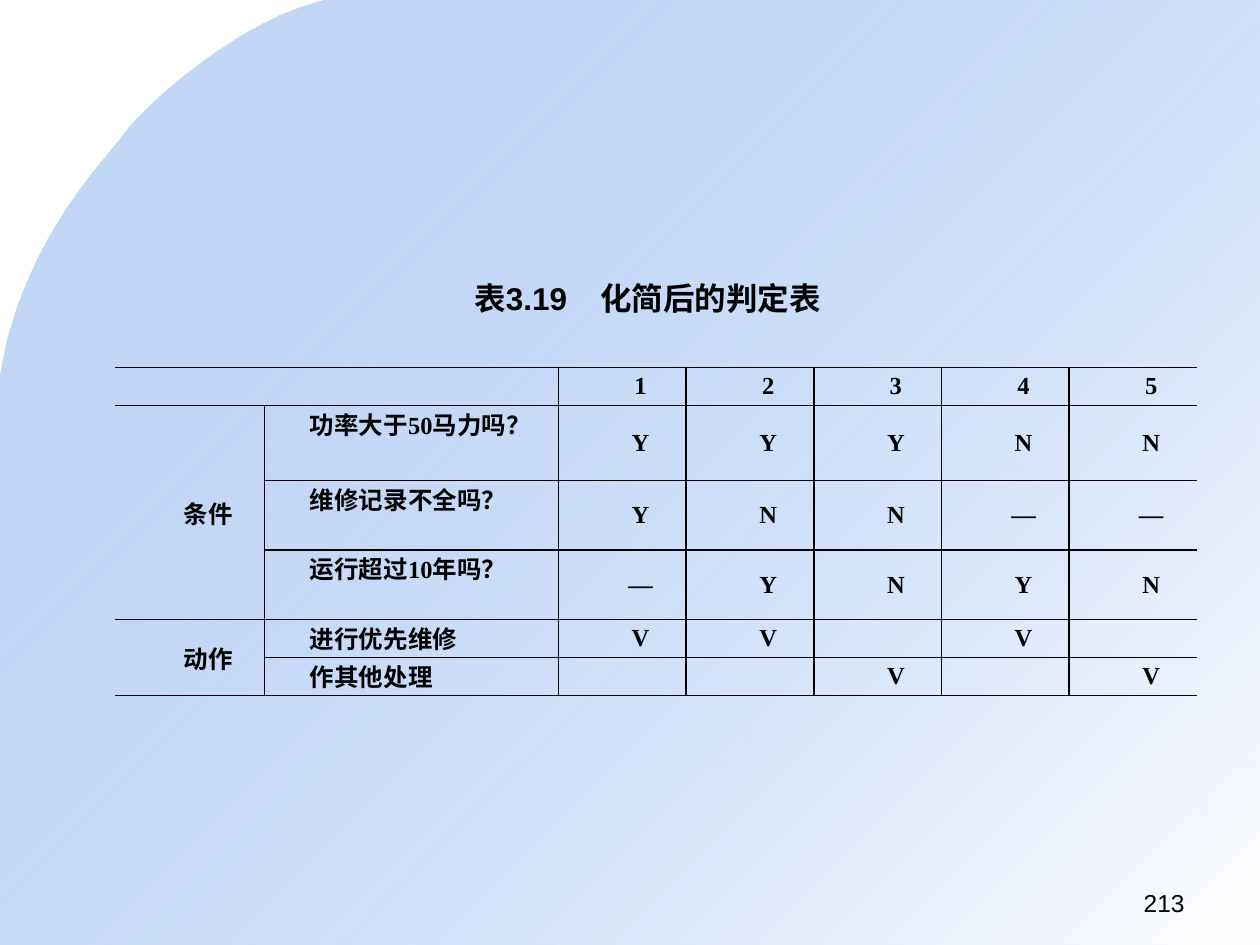
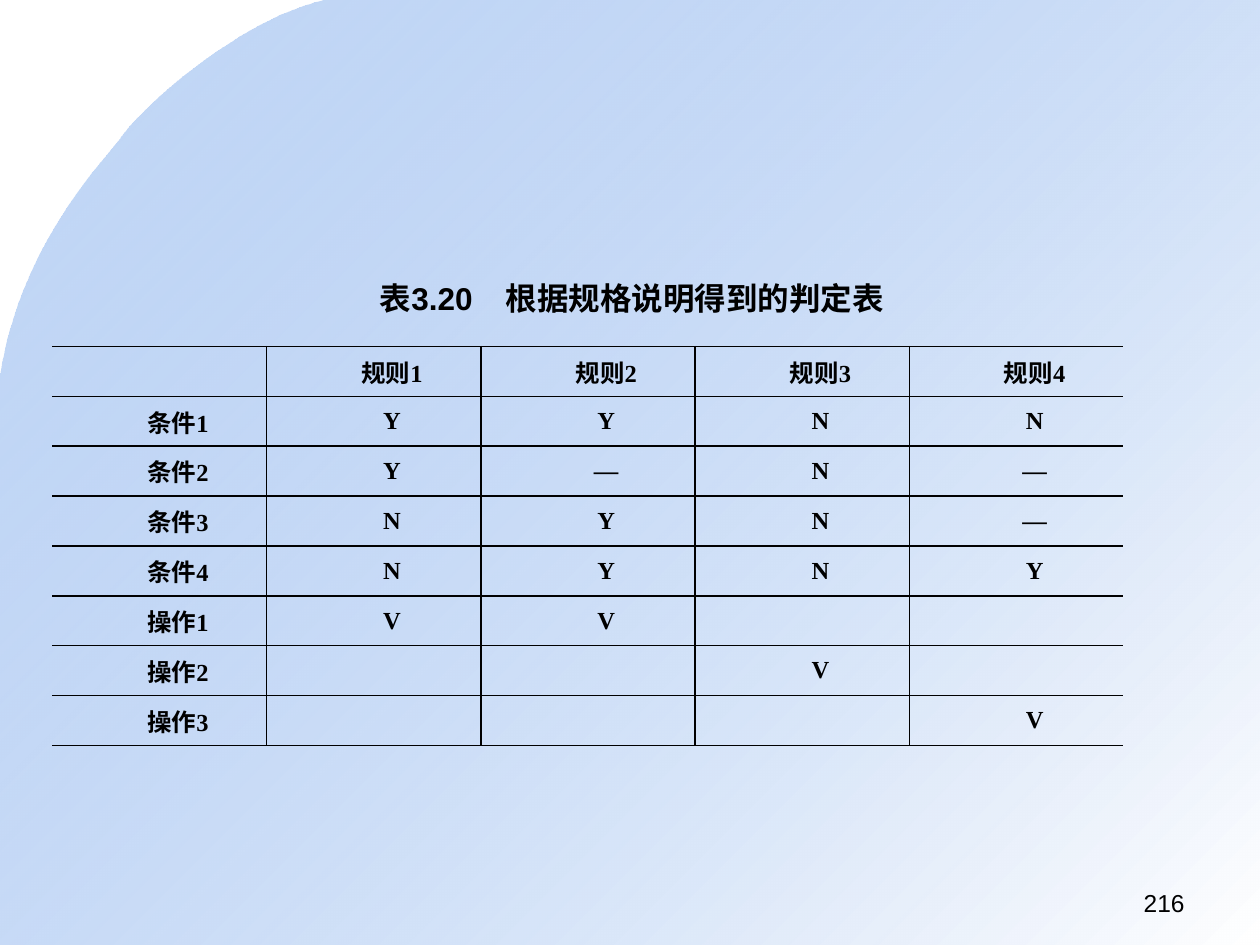
from lxml import etree
from pptx import Presentation
from pptx import util as u
from pptx.dml.color import RGBColor
from pptx.enum import text
from pptx.oxml.ns import qn

BLACK, WHITE, BLUE = "000000", "FFFFFF", "699DE9"
UNIT = u.Inches(1) / 12
COLS, ROWS = 120, 90
CURVE = [
    ((2.58, 0), (1.9, 0.16), (1.16, 0.83), (0.98, 1.07)),
    ((0.98, 1.07), (0.8, 1.32), (0.16, 1.94), (0, 3.01)),
]
PLAIN = "{2D5ABB26-0587-4C30-8999-92F81FD0307C}"
TITLE = {"size": u.Pt(18), "name": "Arial", "bold": True}
PAGE = {"size": u.Pt(14), "name": "Arial", "bold": False}
CELL = {"size": u.Pt(14), "name": "Times New Roman", "bold": True}
INSET = {"margin_left": u.Inches(0.07), "margin_right": u.Inches(0.07),
         "margin_top": 0, "margin_bottom": 0}


def tint(code):
    return RGBColor.from_string(code)


def grid(*vals):
    return [u.Emu(round(v * UNIT)) for v in vals]


def dress(item, form):
    for name, val in form.items():
        setattr(item, name, val)


def bend(a, b, c, d, steps=24):
    for i in range(1, steps + 1):
        t = i / steps
        s = 1 - t
        yield tuple(s**3 * w + 3 * s * s * t * x + 3 * s * t * t * y + t**3 * z
                    for w, x, y, z in zip(a, b, c, d))


class Deck:
    """Builds slides on a grid of twelfths of an inch in one shared style."""

    def __init__(self):
        self.file = Presentation()
        self.file.slide_width, self.file.slide_height = grid(COLS, ROWS)

    def start(self, title, left, width, page):
        self.slide = self.file.slides.add_slide(self.file.slide_layouts[6])
        self.sweep()
        self.label(title, (left, 26, width, 4.8), TITLE, wrap=False)
        self.label(page, (86, 84, 28, 4.2), PAGE, text.PP_ALIGN.RIGHT)

    def sweep(self):
        pts = [p for arc in CURVE for p in bend(*arc)]
        pts += [(0, 7.5), (10, 7.5), (10, 0)]
        pts = [(u.Inches(x), u.Inches(y)) for x, y in pts]
        pen = self.slide.shapes.build_freeform(u.Inches(2.58), 0)
        pen.add_line_segments(pts, close=True)
        shape = pen.convert_to_shape()
        shape.shadow.inherit = False
        shape.line.fill.background()
        shape.fill.gradient()
        shape.fill.gradient_angle = 315
        for stop, code, pos in zip(shape.fill.gradient_stops, (BLUE, WHITE), (0, 1)):
            stop.color.rgb = tint(code)
            stop.position = pos
        first = next(shape._element.iter(qn("a:srgbClr")))
        etree.SubElement(first, qn("a:alpha")).set("val", "39000")

    def words(self, para, line, form, align):
        para.alignment = align
        run = para.add_run()
        run.text = line
        dress(run.font, form)
        run.font.color.rgb = tint(BLACK)

    def label(self, line, box, form, align=text.PP_ALIGN.LEFT, wrap=True):
        frame = self.slide.shapes.add_textbox(*grid(*box)).text_frame
        frame.word_wrap = wrap
        if not wrap:
            frame.auto_size = text.MSO_AUTO_SIZE.SHAPE_TO_FIT_TEXT
        self.words(frame.paragraphs[0], line, form, align)

    def edge(self, cell, side, shown):
        rule = etree.SubElement(cell._tc.get_or_add_tcPr(), qn("a:ln" + side))
        rule.set("w", str(u.Pt(1)))
        if shown:
            fill = etree.SubElement(rule, qn("a:solidFill"))
            etree.SubElement(fill, qn("a:srgbClr")).set("val", BLACK)
        else:
            etree.SubElement(rule, qn("a:noFill"))

    def fill(self, cell, line, left):
        dress(cell, INSET)
        cell.vertical_anchor = (text.MSO_ANCHOR.TOP if left
                                else text.MSO_ANCHOR.MIDDLE)
        para = cell.text_frame.paragraphs[0]
        if line:
            align = text.PP_ALIGN.JUSTIFY if left else text.PP_ALIGN.CENTER
            self.words(para, line, CELL, align)
            para._p.get_or_add_pPr().set("indent", str(u.Inches(0.29)))
        else:
            para._p.get_or_add_endParaRPr().set("sz", "1400")

    def table(self, spot, wide, high, data, spans=(), asks=()):
        box = grid(*spot, sum(wide), sum(high))
        table = self.slide.shapes.add_table(len(high), len(wide), *box).table
        dress(table, {"first_row": False, "horz_banding": False})
        table._tbl.tblPr.find(qn("a:tableStyleId")).text = PLAIN
        for col, size in zip(table.columns, grid(*wide)):
            col.width = size
        for row, size in zip(table.rows, grid(*high)):
            row.height = size
        for r, row in enumerate(data):
            for c, line in enumerate(row):
                cell = table.cell(r, c)
                self.fill(cell, line, (r, c) in asks)
                shown = {"L": c > 0, "R": c < len(wide) - 1, "T": True, "B": True}
                for side, on in shown.items():
                    self.edge(cell, side, on)
                cell.fill.background()
        for a, b in spans:
            table.cell(*a).merge(table.cell(*b))


def main():
    deck = Deck()
    deck.start("表3.19\t化简后的判定表", 44, 35.76, "213")
    deck.table(
        (11, 35), [14.2, 28] + [12.16] * 5, [3.62, 7.16, 6.62, 6.62, 3.62, 3.62],
        [["", "", "1", "2", "3", "4", "5"],
         ["条件", "功率大于50马力吗？", "Y", "Y", "Y", "N", "N"],
         ["", "维修记录不全吗？", "Y", "N", "N", "—", "—"],
         ["", "运行超过10年吗？", "—", "Y", "N", "Y", "N"],
         ["动作", "进行优先维修", "V", "V", "", "V", ""],
         ["", "作其他处理", "", "", "V", "", "V"]],
        spans=[((0, 0), (0, 1)), ((1, 0), (3, 0)), ((4, 0), (5, 0))],
        asks=[(r, 1) for r in range(1, 6)])

    deck.start("表3.20\t根据规格说明得到的判定表", 35, 50.88, "216")
    deck.table(
        (5, 33), [20.4] * 5, [4.75] * 8,
        [["", "规则1", "规则2", "规则3", "规则4"],
         ["条件1", "Y", "Y", "N", "N"],
         ["条件2", "Y", "—", "N", "—"],
         ["条件3", "N", "Y", "N", "—"],
         ["条件4", "N", "Y", "N", "Y"],
         ["操作1", "V", "V", "", ""],
         ["操作2", "", "", "V", ""],
         ["操作3", "", "", "", "V"]])
    deck.file.save("out.pptx")


if __name__ == "__main__":
    main()
